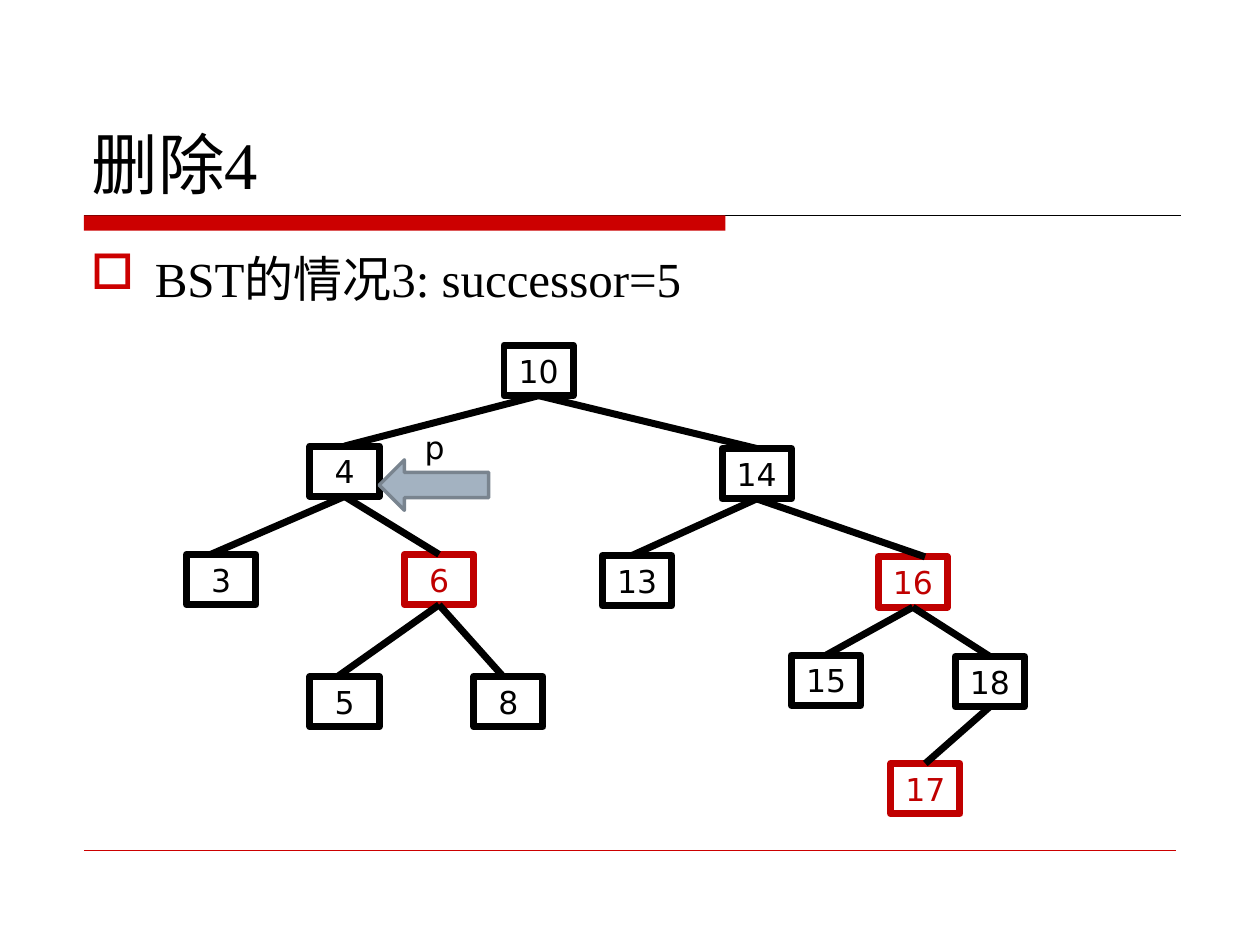
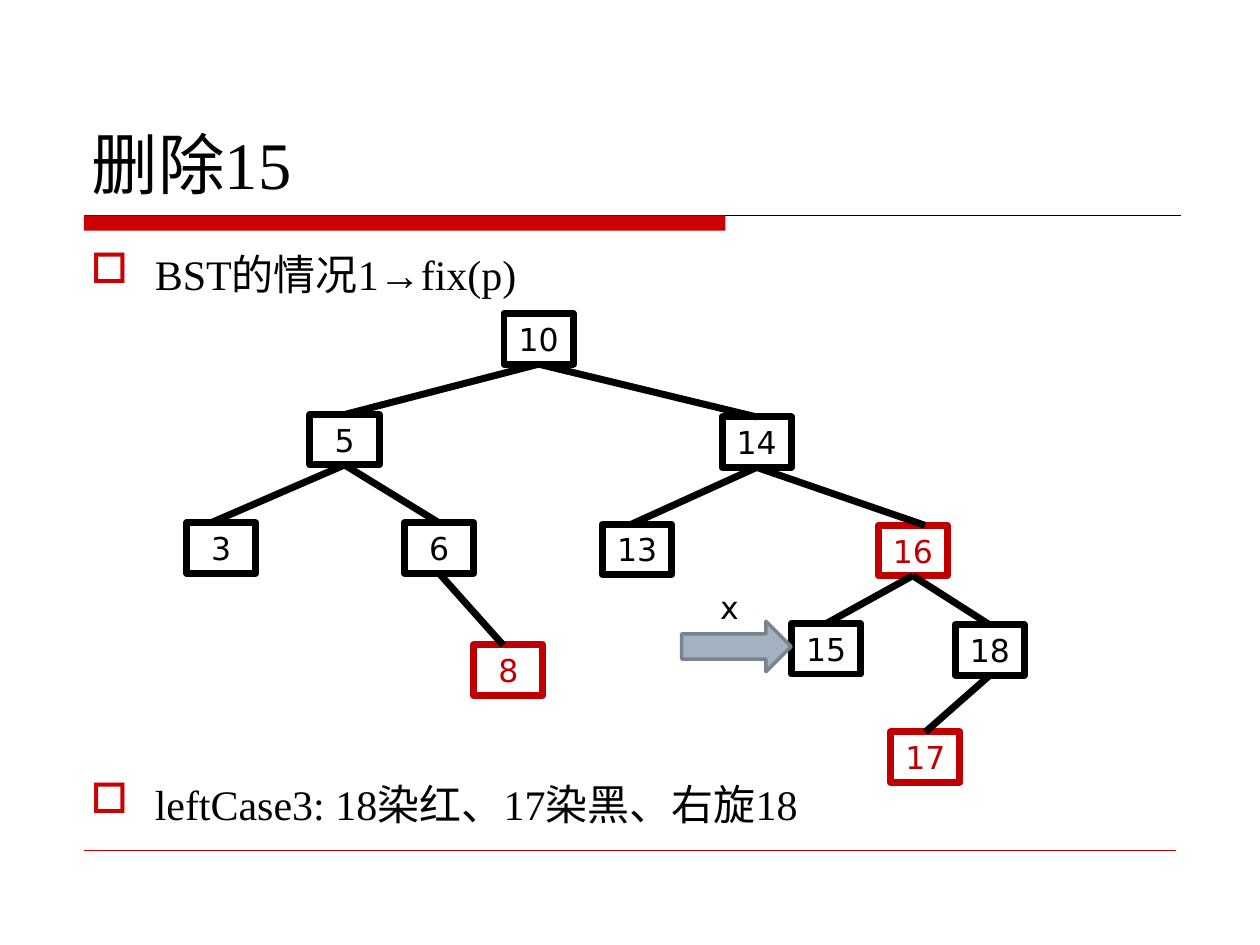
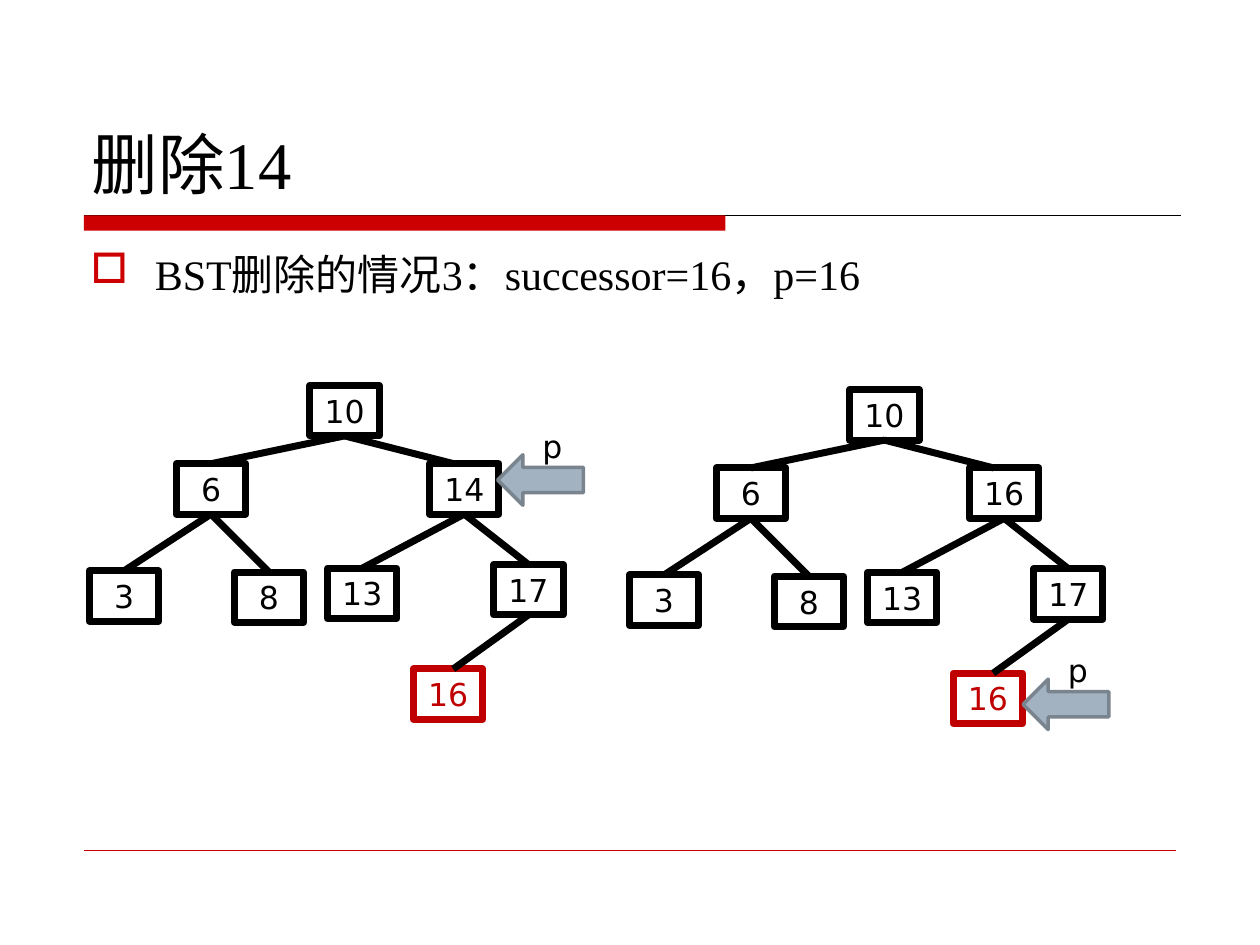
import pptx
import pptx.dml.color
import pptx.enum.shapes
import pptx.enum.text
import pptx.oxml.ns
import pptx.util
from lxml import etree

Pt = pptx.util.Pt
RGBColor = pptx.dml.color.RGBColor
SHAPE = pptx.enum.shapes.MSO_SHAPE
ANCHOR = pptx.enum.text.MSO_ANCHOR
ALIGN = pptx.enum.text.PP_ALIGN
qn = pptx.oxml.ns.qn

BLACK = RGBColor(0x00, 0x00, 0x00)
BAND = RGBColor(0xCC, 0x00, 0x00)
RED = RGBColor(0xC0, 0x00, 0x00)
STEEL = RGBColor(0xA3, 0xB2, 0xC1)
SLATE = RGBColor(0x79, 0x84, 0x8F)

SERIF = "Times New Roman"
SANS = "DejaVu Sans"
NODE_W, NODE_H = 39.6, 28.8
INDENT = 36.72

# Each key is the way down from the root; values are left, top, shift of the edge's lower end.
LARGE = {
    "": (288, 197.3, 0),
    "L": (177.1, 254.9, 0),
    "LL": (106.6, 316.8, -6),
    "LR": (231.1, 316.8, 0),
    "LRL": (177.1, 386.6, -4),
    "LRR": (270.7, 386.6, -3),
    "R": (412.6, 256.3, 0),
    "RL": (344.2, 317.5, -3),
    "RR": (501.8, 318.2, 7),
    "RRL": (452.2, 374.4, 0),
    "RRR": (545.8, 375.1, 0),
    "RRRL": (509, 436.3, 0),
}
SMALL = {
    "": (177.1, 220.3, 0),
    "L": (100.8, 265, 0),
    "LL": (51.1, 326.2, 0),
    "LR": (133.9, 326.9, 0),
    "R": (245.5, 265, -6),
    "RL": (187.2, 324.7, 0),
    "RR": (282.2, 322.6, 0),
    "RRL": (236.2, 382.3, 3),
}


def write(shape, text, size=18, font=SANS, color=BLACK, align=ALIGN.CENTER,
          anchor=ANCHOR.MIDDLE, pad=0, bullet=None):
    frame = shape.text_frame
    frame.word_wrap = True
    frame.vertical_anchor = anchor
    frame.margin_left = frame.margin_right = Pt(pad)
    frame.margin_top = frame.margin_bottom = Pt(pad / 2)
    para = frame.paragraphs[0]
    para.alignment = align
    if bullet:
        props = para._p.get_or_add_pPr()
        props.set("marL", str(Pt(INDENT)))
        props.set("indent", str(-Pt(INDENT)))
        tint = etree.SubElement(props, qn("a:buClr"))
        etree.SubElement(tint, qn("a:srgbClr"), val=str(BAND))
        etree.SubElement(props, qn("a:buChar"), char=bullet)
    run = para.add_run()
    run.text = text
    run.font.size = Pt(size)
    run.font.name = font
    run.font.color.rgb = color


def text_box(slide, text, left, top, width, height, **style):
    box = slide.shapes.add_textbox(Pt(left), Pt(top), Pt(width), Pt(height))
    write(box, text, **style)


def block(slide, kind, left, top, width, height, fill=None, line=None, weight=1):
    shape = slide.shapes.add_shape(kind, Pt(left), Pt(top), Pt(width), Pt(height))
    shape.shadow.inherit = False
    if fill is None:
        shape.fill.background()
    else:
        shape.fill.solid()
        shape.fill.fore_color.rgb = fill
    if line is None:
        shape.line.fill.background()
    else:
        shape.line.color.rgb = line
        shape.line.width = Pt(weight)
    return shape


def link(slide, x1, y1, x2, y2, color=BLACK, weight=4):
    kind = pptx.enum.shapes.MSO_CONNECTOR.STRAIGHT
    line = slide.shapes.add_connector(kind, Pt(x1), Pt(y1), Pt(x2), Pt(y2))
    line.line.color.rgb = color
    line.line.width = Pt(weight)
    etree.SubElement(line._element.spPr, qn("a:effectLst"))


def item(slide, text, size, top=138.24):
    text_box(slide, text, 44.64, top, 630, 40, size=size, font=SERIF,
             align=ALIGN.LEFT, anchor=ANCHOR.TOP, pad=7.2, bullet="□")


def page(deck, title):
    slide = deck.slides.add_slide(deck.slide_layouts[6])
    link(slide, 48, 123.12, 674.64, 123.12, weight=0.75)
    block(slide, SHAPE.RECTANGLE, 48, 123.12, 366.5, 8.64, fill=BAND)
    link(slide, 48, 486, 672, 486, color=BAND, weight=0.25)
    text_box(slide, title, 45.36, 23.76, 630, 95.76, size=38, font=SERIF,
             align=ALIGN.LEFT, anchor=ANCHOR.BOTTOM, pad=7.2)
    return slide


def tree(slide, grid, keys, reds=(), dx=0, dy=0):
    for key, label in keys.items():
        left, top, _ = grid[key]
        color = RED if key in reds else BLACK
        node = block(slide, SHAPE.RECTANGLE, left + dx, top + dy,
                     NODE_W, NODE_H, line=color, weight=4)
        write(node, label, color=color)
    for key in keys:
        if key:
            left, top, _ = grid[key[:-1]]
            x, y, shift = grid[key]
            mid = dx + NODE_W / 2
            link(slide, left + mid, top + dy + NODE_H, x + mid + shift, y + dy)


def mark(slide, label, left, top, width, text_left, text_top, text_width,
         kind=SHAPE.LEFT_ARROW):
    block(slide, kind, left, top, width, NODE_H, fill=STEEL, line=SLATE, weight=2)
    text_box(slide, label, text_left, text_top, text_width, NODE_H)


def first(deck):
    slide = page(deck, "删除4")
    item(slide, "BST的情况3: successor=5", 28)
    keys = {"": "10", "L": "4", "LL": "3", "LR": "6", "LRL": "5", "LRR": "8",
            "R": "14", "RL": "13", "RR": "16", "RRL": "15", "RRR": "18",
            "RRRL": "17"}
    tree(slide, LARGE, keys, reds=("LR", "RR", "RRRL"))
    mark(slide, "p", 216.7, 262.8, 62.6, 226.8, 241.2, 43.2)


def second(deck):
    slide = page(deck, "删除15")
    item(slide, "BST的情况1→fix(p)", 24)
    item(slide, "leftCase3: 18染红、17染黑、右旋18", 24, top=441.1)
    keys = {"": "10", "L": "5", "LL": "3", "LR": "6", "LRR": "8", "R": "14",
            "RL": "13", "RR": "16", "RRL": "15", "RRR": "18", "RRRL": "17"}
    tree(slide, LARGE, keys, reds=("LRR", "RR", "RRRL"), dy=-18)
    mark(slide, "x", 389.5, 355, 62.6, 395.3, 332.6, 43.2, kind=SHAPE.RIGHT_ARROW)


def third(deck):
    slide = page(deck, "删除14")
    item(slide, "BST删除的情况3：successor=16，p=16", 24)
    keys = {"": "10", "L": "6", "LL": "3", "LR": "8", "R": "14", "RL": "13",
            "RR": "17", "RRL": "16"}
    tree(slide, SMALL, keys, reds=("RRL",))
    mark(slide, "p", 284.4, 259.9, 49, 288, 240.5, 55.4)
    tree(slide, SMALL, {**keys, "R": "16"}, reds=("RRL",), dx=308.5, dy=2.4)
    mark(slide, "p", 584.6, 388.1, 49, 588.2, 368.6, 55.4)


def main():
    deck = pptx.Presentation()
    deck.slide_width = Pt(720)
    deck.slide_height = Pt(540)
    first(deck)
    second(deck)
    third(deck)
    deck.save("out.pptx")


if __name__ == "__main__":
    main()
